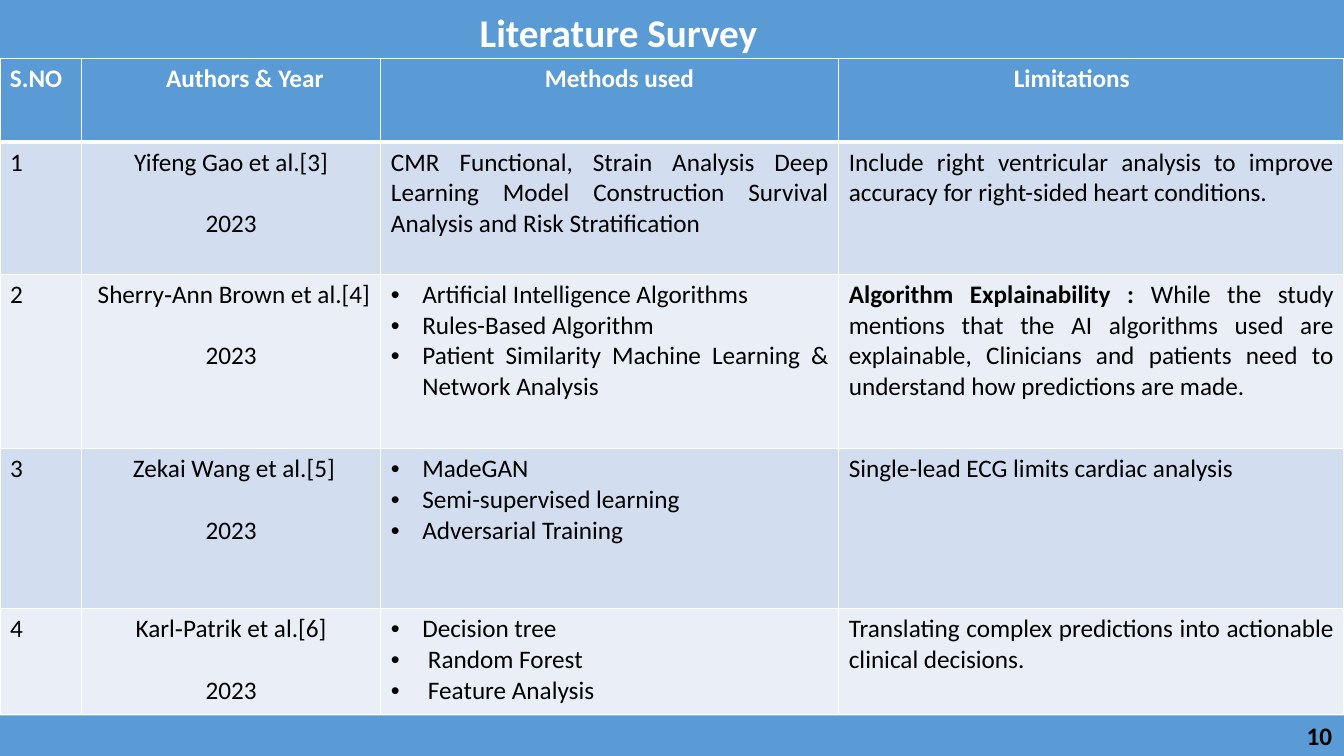
import lxml.etree
import pptx
import pptx.dml.color
import pptx.enum.shapes
import pptx.enum.text
import pptx.oxml.ns
import pptx.util

Cm, Pt = pptx.util.Cm, pptx.util.Pt
ALIGN = pptx.enum.text.PP_ALIGN
MIDDLE = pptx.enum.text.MSO_ANCHOR.MIDDLE
qn = pptx.oxml.ns.qn

BLUE, WHITE, BLACK = "5B9BD5", "FFFFFF", "000000"
BANDS = ["D2DEEF", "EAEFF7"]
WIDTH, HEIGHT = 33.87, 19.05
COLUMN_WIDTHS = [2.05, 7.55, 11.54, 12.73]
ROW_HEIGHTS = [2.11, 3.33, 4.39, 4.04, 2.67]
HEADINGS = [("S.NO", ALIGN.LEFT, 0.25), ("Authors & Year", ALIGN.CENTER, 0.95),
            ("Methods used", ALIGN.LEFT, 4.13), ("Limitations", ALIGN.LEFT, 4.41)]
STUDIES = [
    ("Yifeng Gao et al.[3]", "2023",
     ["CMR Functional, Strain Analysis Deep Learning Model Construction Survival Analysis "
      "and Risk Stratification"],
     [("Include right ventricular analysis to improve accuracy for right-sided heart "
       "conditions.", False)]),
    (" Sherry‑Ann Brown et al.[4]", "2023",
     ["Artificial Intelligence Algorithms", "Rules-Based Algorithm",
      "Patient Similarity Machine Learning & Network Analysis"],
     [("Algorithm Explainability :", True),
      (" While the study mentions that the AI algorithms used are explainable, Clinicians "
       "and patients need to understand how predictions are made.", False)]),
    (" Zekai Wang et al.[5]", "2023",
     ["MadeGAN", "Semi-supervised learning", "Adversarial Training"],
     [("Single-lead ECG limits cardiac analysis", False)]),
    ("Karl‑Patrik et al.[6]", "2023",
     ["Decision tree", " Random Forest", " Feature Analysis"],
     [("Translating complex predictions into actionable clinical decisions.", False)]),
]


def colour(hex_text):
    """Return the colour for a hex string."""
    return pptx.dml.color.RGBColor.from_string(hex_text)


def paint(part, hex_text):
    """Give a shape or a cell a solid fill."""
    part.fill.solid()
    part.fill.fore_color.rgb = colour(hex_text)


def write(paragraph, runs, align, hex_text=BLACK, size=18):
    """Add (text, bold) runs to a paragraph."""
    paragraph.alignment = align
    for text, bold in runs:
        run = paragraph.add_run()
        run.text = text
        run.font.name = "Calibri"
        run.font.size = Pt(size)
        run.font.bold = bold
        run.font.color.rgb = colour(hex_text)


def add_bullet(paragraph):
    """Put a hanging round bullet before a paragraph."""
    properties = paragraph._p.get_or_add_pPr()
    properties.set("marL", str(Cm(0.79)))
    properties.set("indent", str(-Cm(0.79)))
    lxml.etree.SubElement(properties, qn("a:buFont")).set("typeface", "Arial")
    lxml.etree.SubElement(properties, qn("a:buChar")).set("char", "•")


def add_borders(cell, top, bottom):
    """Draw white borders of the given top and bottom widths in points."""
    properties = cell._tc.get_or_add_tcPr()
    for place, (side, points) in enumerate(zip("LRTB", (1, 1, top, bottom))):
        line = lxml.etree.Element(qn(f"a:ln{side}"), w=str(Pt(points)))
        fill = lxml.etree.SubElement(line, qn("a:solidFill"))
        lxml.etree.SubElement(fill, qn("a:srgbClr")).set("val", WHITE)
        properties.insert(place, line)


def add_title(slide, left, top, width, height):
    """Place the title on its blue band."""
    title = slide.shapes.title
    title.left, title.top, title.width, title.height = map(Cm, (left, top, width, height))
    paint(title, BLUE)
    frame = title.text_frame
    frame.auto_size = pptx.enum.text.MSO_AUTO_SIZE.NONE
    frame.vertical_anchor = MIDDLE
    frame.margin_left, frame.margin_right = Cm(0.25), Cm(2.95)
    frame.margin_top, frame.margin_bottom = Cm(0.13), Cm(0)
    write(frame.paragraphs[0], [("Literature Survey", True)], ALIGN.CENTER, WHITE, 28)


def fill_heading_row(table):
    """Write the column headings."""
    for column, (heading, align, inset) in enumerate(HEADINGS):
        cell = table.cell(0, column)
        cell.margin_left = Cm(inset)
        paint(cell, BLUE)
        add_borders(cell, 1, 3)
        write(cell.text_frame.paragraphs[0], [(heading, True)], align, WHITE)


def fill_study_row(table, number, study):
    """Write one study across its row."""
    authors, year, methods, limitation = study
    cells = [table.cell(number, column) for column in range(len(COLUMN_WIDTHS))]
    for cell in cells:
        paint(cell, BANDS[(number - 1) % 2])
        add_borders(cell, 3 if number == 1 else 1, 1)
    number_frame, author_frame, method_frame, limit_frame = [c.text_frame for c in cells]
    write(number_frame.paragraphs[0], [(str(number), False)], ALIGN.JUSTIFY)
    write(author_frame.paragraphs[0], [(authors, False)], ALIGN.CENTER)
    year_line = author_frame.add_paragraph()
    year_line.space_before = Pt(22)
    write(year_line, [(year, False)], ALIGN.CENTER)
    for index, method in enumerate(methods):
        line = method_frame.add_paragraph() if index else method_frame.paragraphs[0]
        if len(methods) > 1:
            add_bullet(line)
        write(line, [(method, False)], ALIGN.JUSTIFY)
    write(limit_frame.paragraphs[0], limitation, ALIGN.JUSTIFY)


def add_survey(slide, left, top, width, height):
    """Place the table of studies."""
    table = slide.shapes.add_table(len(ROW_HEIGHTS), len(COLUMN_WIDTHS),
                                   Cm(left), Cm(top), Cm(width), Cm(height)).table
    for column, column_width in zip(table.columns, COLUMN_WIDTHS):
        column.width = Cm(column_width)
    for row, row_height in zip(table.rows, ROW_HEIGHTS):
        row.height = Cm(row_height)
    fill_heading_row(table)
    for number, study in enumerate(STUDIES, 1):
        fill_study_row(table, number, study)


def add_footer(slide, left, top, width, height):
    """Place the blue band with the page number."""
    band = slide.shapes.add_shape(pptx.enum.shapes.MSO_SHAPE.RECTANGLE,
                                  Cm(left), Cm(top), Cm(width), Cm(height))
    band.shadow.inherit = False
    paint(band, BLUE)
    band.line.fill.background()
    frame = band.text_frame
    frame.vertical_anchor = MIDDLE
    frame.margin_right = Cm(0.3)
    write(frame.paragraphs[0], [("10", True)], ALIGN.RIGHT)


def main():
    """Build and save the slide."""
    deck = pptx.Presentation()
    deck.slide_width, deck.slide_height = Cm(WIDTH), Cm(HEIGHT)
    slide = deck.slides.add_slide(deck.slide_layouts[5])
    add_title(slide, 0, 0, WIDTH, 1.46)
    add_survey(slide, 0, 1.47, WIDTH, sum(ROW_HEIGHTS))
    add_footer(slide, 0, 18.03, WIDTH, 1.02)
    deck.save("out.pptx")


if __name__ == "__main__":
    main()
